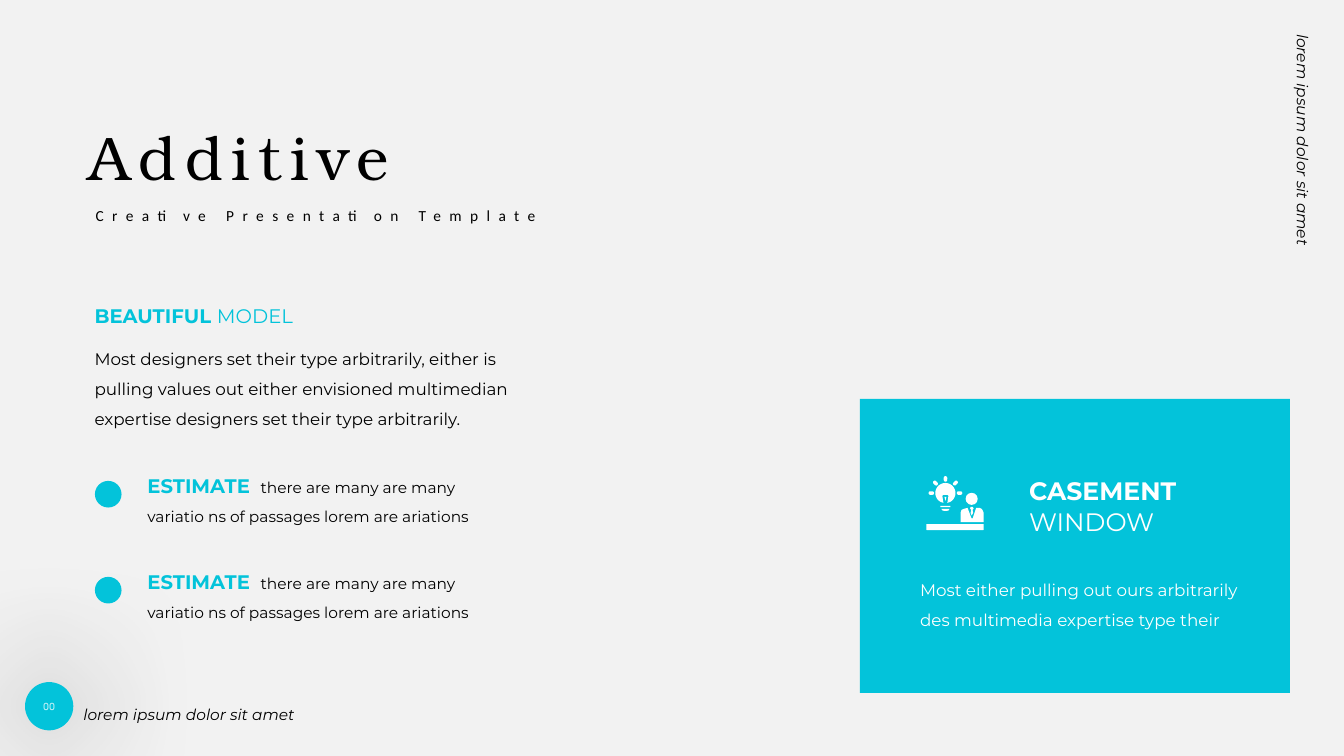
from dataclasses import dataclass
from math import cos, radians, sin

from lxml import etree
from pptx import Presentation
from pptx.dml.color import RGBColor
from pptx.enum.shapes import MSO_SHAPE
from pptx.enum.text import MSO_ANCHOR, MSO_AUTO_SIZE, PP_ALIGN
from pptx.oxml.ns import qn
from pptx.shapes.autoshape import Shape
from pptx.slide import Slide
from pptx.util import Emu, Inches, Pt

RECTANGLE = MSO_SHAPE.RECTANGLE
ROUNDED = MSO_SHAPE.ROUNDED_RECTANGLE
OVAL = MSO_SHAPE.OVAL
LEFT = PP_ALIGN.LEFT
CENTER = PP_ALIGN.CENTER
TOP = MSO_ANCHOR.TOP
MIDDLE = MSO_ANCHOR.MIDDLE
GROW = MSO_AUTO_SIZE.SHAPE_TO_FIT_TEXT

COLORS = {"paper": "F2F2F2", "accent": "03C3DA", "ink": "000000", "white": "FFFFFF"}
SLIDE_HEIGHT = Inches(7.5)
SLIDE_WIDTH = Emu(SLIDE_HEIGHT * 16 // 9)
CELL = SLIDE_HEIGHT / 36
ICON_LEFT, ICON_TOP, ICON_CELL = 44.11, 22.7, 0.048
LAMP_X, LAMP_Y, LAMP_RADIUS, RAY_DISTANCE = 19, 16.25, 10, 14
BULLET_PITCH = 4.57
TITLE_ONLY = 5

Point = tuple[float, float]


@dataclass(frozen=True)
class Box:
    column: float
    row: float
    columns: float
    rows: float


@dataclass(frozen=True)
class Words:
    text: str
    size: float
    color: str = "ink"
    font: str = "Montserrat"
    bold: bool = False
    italic: bool = False
    tracking: float = 0


@dataclass(frozen=True)
class TextBlock:
    box: Box
    words: tuple[Words, ...]
    line_spacing: float = 1.5
    wrap: bool = True
    inset: bool = True
    rotation: float = 0


def grid(cells: float) -> Emu:
    return Emu(round(cells * CELL))


def icon_box(left: float, top: float, width: float, height: float) -> Box:
    return Box(ICON_LEFT + left * ICON_CELL, ICON_TOP + top * ICON_CELL,
               width * ICON_CELL, height * ICON_CELL)


def place(shape: Shape, box: Box) -> None:
    shape.left, shape.top = grid(box.column), grid(box.row)
    shape.width, shape.height = grid(box.columns), grid(box.rows)


def paint(shape: Shape, color: str) -> None:
    shape.shadow.inherit = False
    shape.fill.solid()
    shape.fill.fore_color.rgb = RGBColor.from_string(COLORS[color])
    shape.line.fill.background()


def draw_shape(slide: Slide, kind: MSO_SHAPE, box: Box, color: str) -> Shape:
    shape = slide.shapes.add_shape(kind, 0, 0, 0, 0)
    place(shape, box)
    paint(shape, color)
    return shape


def write_words(shape: Shape, words: tuple[Words, ...], line_spacing: float = 1) -> None:
    paragraph = shape.text_frame.paragraphs[0]
    paragraph.alignment = LEFT
    paragraph.line_spacing = line_spacing
    for part in words:
        run = paragraph.add_run()
        run.text = part.text
        run.font.name = part.font
        run.font.size = Pt(part.size)
        run.font.bold = part.bold
        run.font.italic = part.italic
        run.font.color.rgb = RGBColor.from_string(COLORS[part.color])
        if part.tracking:
            run._r.get_or_add_rPr().set("spc", str(round(part.tracking * 100)))


def fill_block(shape: Shape, block: TextBlock) -> None:
    place(shape, block.box)
    shape.rotation = block.rotation
    frame = shape.text_frame
    frame.word_wrap = block.wrap
    frame.auto_size = GROW
    frame.vertical_anchor = TOP
    if not block.inset:
        frame.margin_left = frame.margin_right = 0
        frame.margin_top = frame.margin_bottom = 0
    write_words(shape, block.words, block.line_spacing)


def draw_outline(slide: Slide, points: list[Point]) -> None:
    corners = [(grid(ICON_LEFT + x * ICON_CELL), grid(ICON_TOP + y * ICON_CELL))
               for x, y in points]
    builder = slide.shapes.build_freeform(*corners[0])
    builder.add_line_segments(corners[1:], close=True)
    paint(builder.convert_to_shape(), "white")


def around_lamp(angle: float, distance: float) -> Point:
    return (LAMP_X + distance * cos(radians(angle)),
            LAMP_Y + distance * sin(radians(angle)))


def draw_icon(slide: Slide) -> None:
    for angle in range(180, 361, 45):
        x, y = around_lamp(angle, RAY_DISTANCE)
        ray = draw_shape(slide, ROUNDED, icon_box(x - 2.75, y - 1.75, 5.5, 3.5), "white")
        ray.adjustments[0] = 0.5
        ray.rotation = angle % 180
    desk = draw_shape(slide, ROUNDED, icon_box(0, 47, 57, 6), "white")
    desk.adjustments[0] = 0.1
    draw_shape(slide, OVAL, icon_box(39, 16, 12, 12), "white")
    draw_shape(slide, RECTANGLE, icon_box(14, 29, 10, 1.2), "white")
    glass = [around_lamp(angle, LAMP_RADIUS) for angle in range(60, -241, -10)]
    socket = [(17, 26), (16, 19), (17, 18), (21, 18), (22, 19), (21, 26)]
    filament = [(18, 20), (20, 20), (19, 24)]
    cap = [(15, 32), (23, 32), (22, 33.5), (20, 34), (18, 34), (16, 33.5)]
    jacket = [(34, 45), (34, 36), (35, 33), (37, 32), (41, 31), (45, 41.5), (46, 41.5),
              (49.5, 31), (53, 31), (55, 32), (56, 33.5), (57, 36), (57, 45)]
    tie = [(44, 30), (46, 30), (47, 31.5), (46, 33), (46.5, 36), (45, 38.5),
           (44, 36), (44.5, 33), (43.5, 31.5)]
    for points in (glass + socket, filament, cap, jacket, tie):
        draw_outline(slide, points)


def draw_badge(slide: Slide) -> None:
    badge = draw_shape(slide, OVAL, Box(1.19, 32.48, 2.3, 2.3), "accent")
    effects = badge._element.spPr.find(qn("a:effectLst"))
    shadow = etree.SubElement(effects, qn("a:outerShdw"), blurRad=str(Pt(94)),
                              dist="0", dir="0", algn="ctr", rotWithShape="0")
    color = etree.SubElement(shadow, qn("a:srgbClr"), val=COLORS["ink"])
    etree.SubElement(color, qn("a:alpha"), val="72000")
    badge.text_frame.vertical_anchor = MIDDLE
    write_words(badge, (Words("00", 7, "white", "Manrope"),))
    badge.text_frame.paragraphs[0].alignment = CENTER


TITLE = TextBlock(Box(3.74, 5.42, 15.79, 4.03),
                  (Words("Additive", 44, font="TeX Gyre Bonum", tracking=6),), 1, wrap=False)
TAGLINE = (Words("lorem ipsum dolor sit amet", 11, italic=True),)
ESTIMATE = (Words("ESTIMATE", 14, "accent", bold=True), Words(" ", 14, tracking=4),
            Words("there are many are many variatio ns of passages lorem are ariations", 11))
BLOCKS = (
    TextBlock(Box(4.08, 9.6, 22.61, 1.39),
              (Words("Creative Presentation Template", 11, font="Calibri", tracking=6),),
              1, wrap=False),
    TextBlock(Box(4.03, 13.68, 12.62, 2.16),
              (Words("BEAUTIFUL ", 14, "accent", bold=True), Words("MODEL", 14, "accent"))),
    TextBlock(Box(4.03, 15.89, 21.17, 4.85),
              (Words("Most designers set their type arbitrarily, either is pulling values out "
                     "either envisioned multimedian expertise designers set their type "
                     "arbitrarily.", 12),)),
    TextBlock(Box(48.53, 22.42, 10.66, 3.41),
              (Words("CASEMENT ", 18, "white", bold=True), Words("WINDOW", 18, "white")), 1),
    TextBlock(Box(43.34, 26.88, 16.99, 3.41),
              (Words("Most either pulling out ours arbitrarily des multimedia expertise "
                     "type their", 12, "white"),)),
    TextBlock(Box(54.58, 7.92, 15.36, 1.82), TAGLINE, rotation=90),
    TextBlock(Box(3.5, 32.88, 15.36, 1.82), TAGLINE),
)


def main() -> None:
    presentation = Presentation()
    presentation.slide_width, presentation.slide_height = SLIDE_WIDTH, SLIDE_HEIGHT
    slide = presentation.slides.add_slide(presentation.slide_layouts[TITLE_ONLY])
    slide.background.fill.solid()
    slide.background.fill.fore_color.rgb = RGBColor.from_string(COLORS["paper"])
    fill_block(slide.shapes.title, TITLE)
    draw_shape(slide, RECTANGLE, Box(40.95, 19, 20.48, 14), "accent")
    draw_badge(slide)
    bullets = []
    for index in range(2):
        offset = index * BULLET_PITCH
        draw_shape(slide, OVAL, Box(4.52, 22.9 + offset, 1.27, 1.27), "accent")
        bullets.append(TextBlock(Box(7.02, 22.02 + offset, 17.33, 3.02), ESTIMATE, inset=False))
    for block in (*BLOCKS, *bullets):
        fill_block(slide.shapes.add_textbox(0, 0, 0, 0), block)
    draw_icon(slide)
    presentation.save("out.pptx")


if __name__ == "__main__":
    main()
